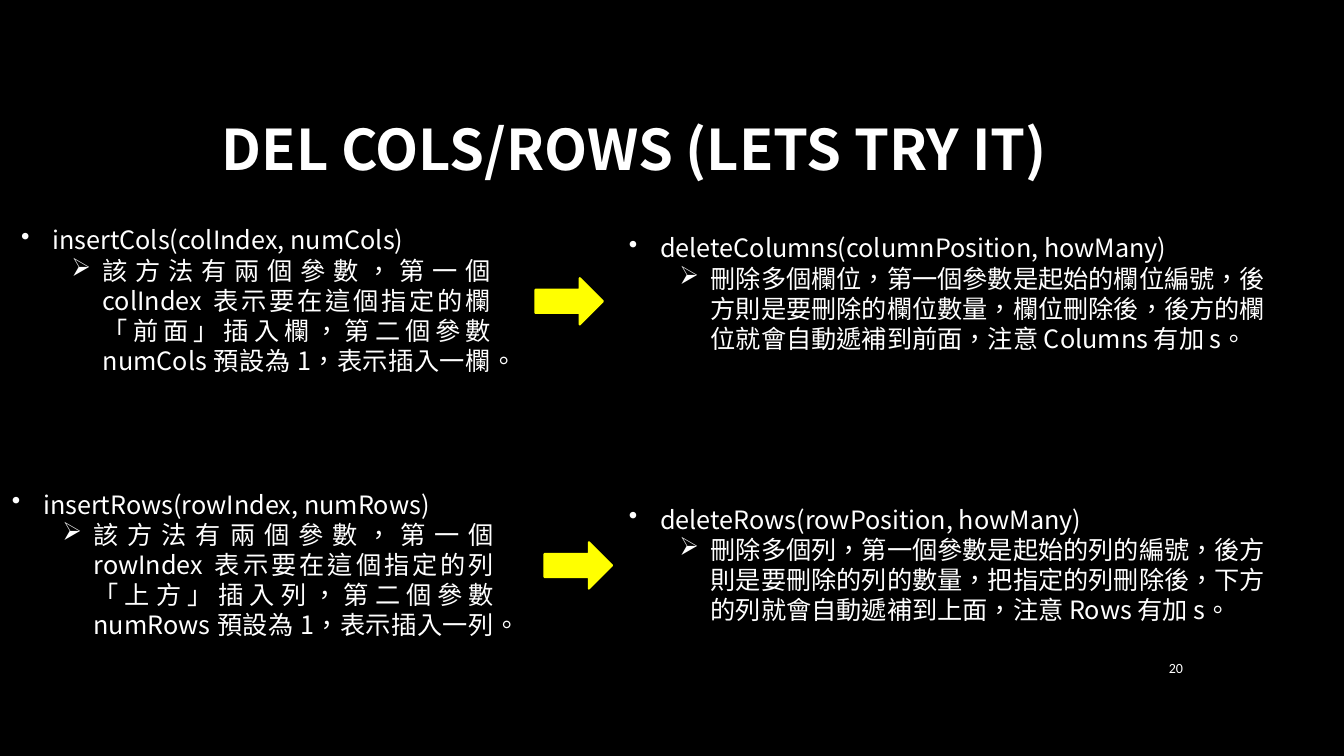
from typing import NamedTuple

from pptx import Presentation
from pptx.dml.color import RGBColor
from pptx.enum.shapes import MSO_SHAPE
from pptx.enum.text import MSO_ANCHOR, PP_ALIGN
from pptx.oxml import parse_xml
from pptx.oxml.ns import nsdecls, qn
from pptx.shapes.autoshape import Shape
from pptx.text.text import TextFrame
from pptx.util import Inches, Pt

COLORS = {"background": "000000", "text": "FFFFFF", "arrow": "FFFF00"}
FONT = "Noto Sans CJK SC"
HANGING = 0.31  # inches between bullet and text

presentation = Presentation()
presentation.slide_width = Inches(13.33)
presentation.slide_height = Inches(7.5)


class Box(NamedTuple):
    """Place and size in percent of the slide's width and height."""
    left: float
    top: float
    width: float
    height: float

    def lengths(self) -> tuple[int, int, int, int]:
        across = presentation.slide_width / 100
        down = presentation.slide_height / 100
        return (round(self.left * across), round(self.top * down),
                round(self.width * across), round(self.height * down))


class Method(NamedTuple):
    box: Box
    signature: str
    description: str
    signature_align: PP_ALIGN = PP_ALIGN.LEFT
    description_align: PP_ALIGN = PP_ALIGN.LEFT


METHODS = [
    Method(Box(0.15, 64, 37.36, 21.6), "insertRows(rowIndex, numRows)",
           "該方法有兩個參數，第一個 rowIndex 表示要在這個指定的列「上方」插入列，"
           "第二個參數 numRows 預設為 1，表示插入一列。",
           description_align=PP_ALIGN.JUSTIFY),
    Method(Box(0.83, 29.07, 36.46, 21.6), "insertCols(colIndex, numCols)",
           "該方法有兩個參數，第一個 colIndex 表示要在這個指定的欄「前面」插入欄，"
           "第二個參數 numCols 預設為 1，表示插入一欄。",
           PP_ALIGN.JUSTIFY, PP_ALIGN.JUSTIFY),
    Method(Box(46.06, 30.13, 50.04, 17.47), "deleteColumns(columnPosition, howMany)",
           "刪除多個欄位，第一個參數是起始的欄位編號，後方則是要刪除的欄位數量，"
           "欄位刪除後，後方的欄位就會自動遞補到前面，注意 Columns 有加 s。"),
    Method(Box(46.06, 66, 50.04, 17.47), "deleteRows(rowPosition, howMany)",
           "刪除多個列，第一個參數是起始的列的編號，後方則是要刪除的列的數量，"
           "把指定的列刪除後，下方的列就會自動遞補到上面，注意 Rows 有加 s。"),
]
ARROWS = [Box(39.83, 36.8, 5.03, 6.13), Box(40.51, 71.73, 5.03, 6.13)]


def color(name: str) -> RGBColor:
    return RGBColor.from_string(COLORS[name])


def write(frame: TextFrame, text: str, *, size: float = 18, font: str = FONT,
          bold: bool = False, align: PP_ALIGN = PP_ALIGN.LEFT,
          bullet: str = "", indent: float = 0, level: int = 0) -> None:
    """Fill the frame's empty first paragraph, or add one after it."""
    first = frame.paragraphs[0]
    paragraph = frame.add_paragraph() if first.runs else first
    paragraph.alignment = align
    paragraph.level = level
    if bullet:
        properties = paragraph._p.get_or_add_pPr()
        properties.set("marL", str(Inches(indent)))
        properties.set("indent", str(-Inches(HANGING)))
        properties.append(parse_xml(f'<a:buChar {nsdecls("a")} char="{bullet}"/>'))
    run = paragraph.add_run()
    run.text = text
    run.font.size = Pt(size)
    run.font.bold = bold
    run.font.name = font
    run.font.color.rgb = color("text")
    properties = run._r.get_or_add_rPr()
    properties.set("lang", "zh-TW")
    latin = properties.find(qn("a:latin"))
    latin.addnext(parse_xml(f'<a:ea {nsdecls("a")} typeface="{font}"/>'))


def add_text_box(box: Box, anchor: MSO_ANCHOR = MSO_ANCHOR.TOP) -> TextFrame:
    frame = slide.shapes.add_textbox(*box.lengths()).text_frame
    frame.word_wrap = True
    frame.vertical_anchor = anchor
    return frame


def add_method(method: Method) -> None:
    frame = add_text_box(method.box)
    write(frame, method.signature, align=method.signature_align,
          bullet="•", indent=HANGING)
    write(frame, method.description, align=method.description_align,
          bullet="➢", indent=HANGING + 0.5, level=1)


def add_arrow(box: Box) -> Shape:
    arrow = slide.shapes.add_shape(MSO_SHAPE.RIGHT_ARROW, *box.lengths())
    arrow.shadow.inherit = False
    arrow.fill.solid()
    arrow.fill.fore_color.rgb = color("arrow")
    arrow.line.color.rgb = color("arrow")
    arrow.line.width = Pt(1.5)
    return arrow


# Slide and background
slide = presentation.slides.add_slide(presentation.slide_layouts[5])
slide.background.fill.solid()
slide.background.fill.fore_color.rgb = color("background")

# Title
title = slide.shapes.title
title.left, title.top, title.width, title.height = Box(5.63, 8.93, 83.12, 21.2).lengths()
title.text_frame.vertical_anchor = MSO_ANCHOR.MIDDLE
write(title.text_frame, "DEL COLS/ROWS (LETS TRY IT)", size=40, bold=True,
      align=PP_ALIGN.CENTER)

# Methods and the arrows between them
for method in METHODS:
    add_method(method)
for arrow_box in ARROWS:
    add_arrow(arrow_box)

# Slide number
write(add_text_box(Box(84.25, 85.6, 4.5, 5.47), MSO_ANCHOR.MIDDLE), "20",
      size=10, font="Calibri", align=PP_ALIGN.RIGHT)

presentation.save("out.pptx")
